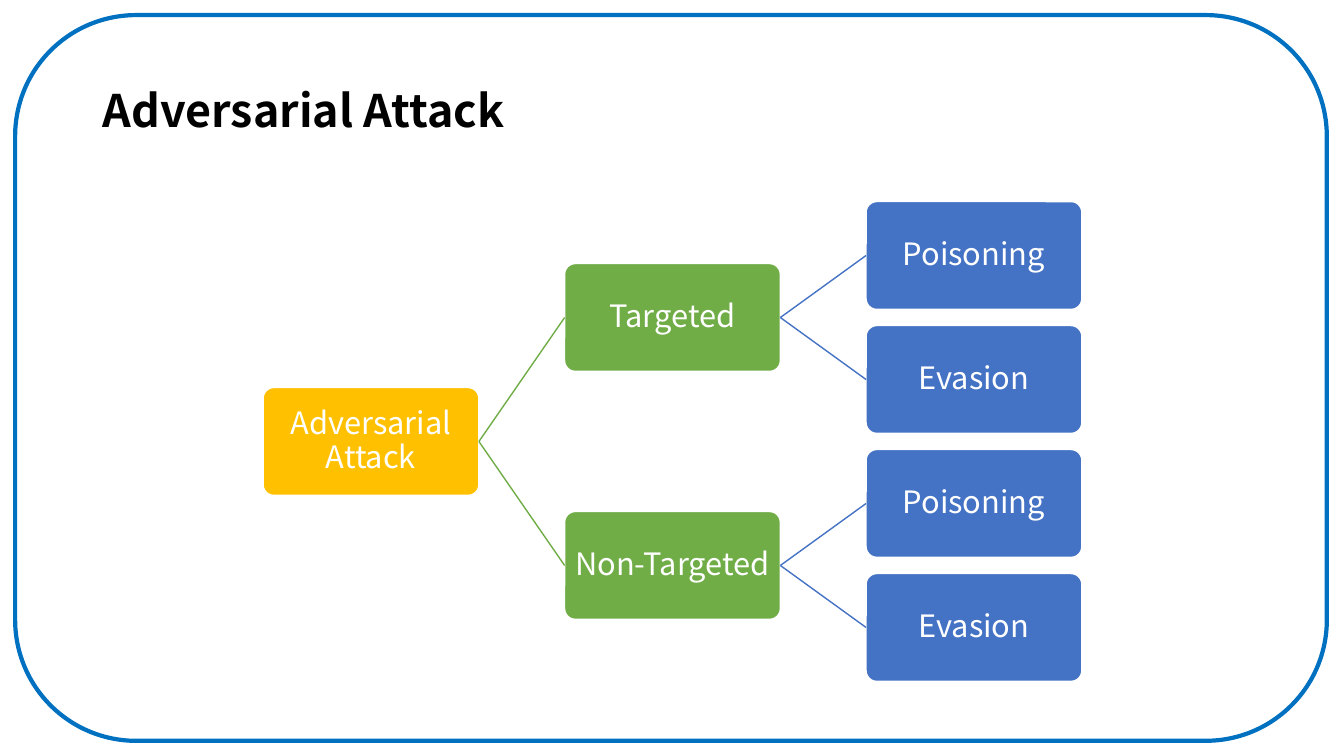
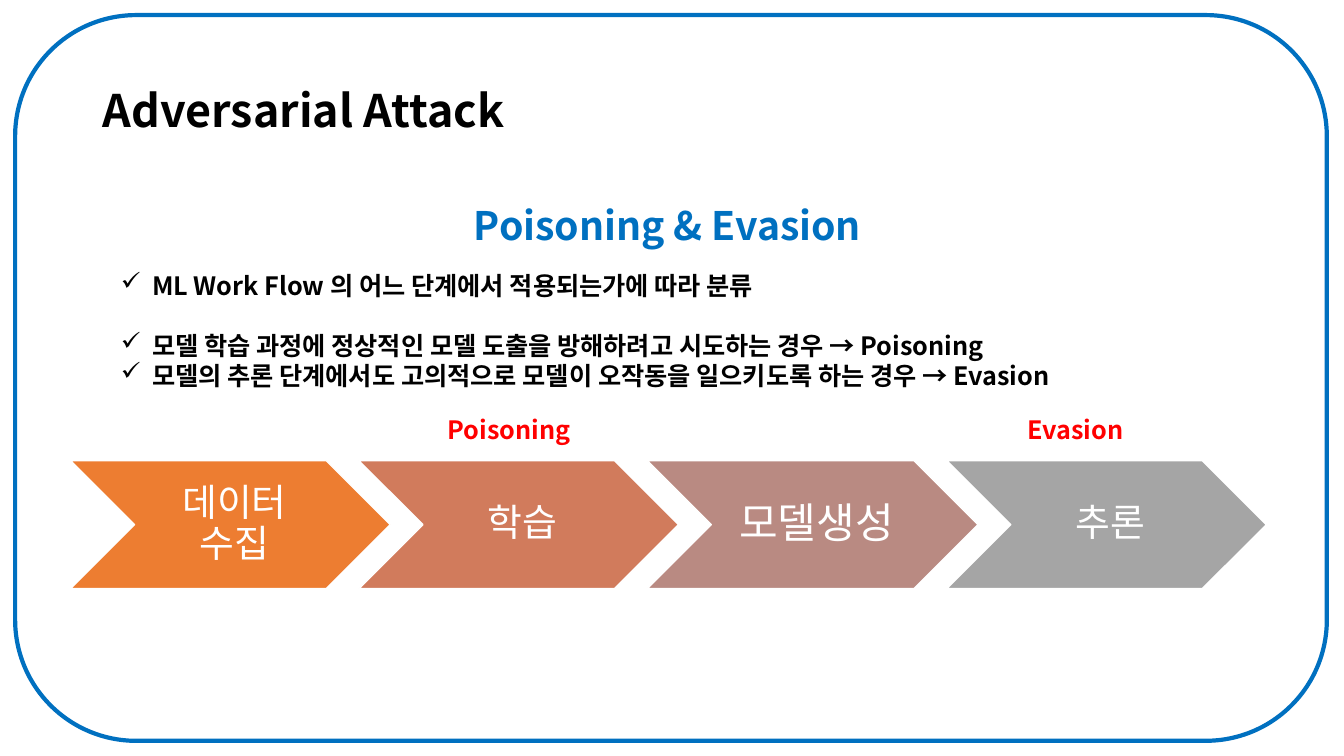
"""Builds two slides on adversarial attacks: a taxonomy tree and a workflow."""
from lxml import etree
from pptx import Presentation
from pptx.dml.color import RGBColor
from pptx.enum.shapes import MSO_CONNECTOR, MSO_SHAPE
from pptx.enum.text import MSO_ANCHOR, PP_ALIGN
from pptx.oxml.ns import qn
from pptx.util import Inches, Pt

ROUNDED = MSO_SHAPE.ROUNDED_RECTANGLE
CHEVRON = MSO_SHAPE.CHEVRON
STRAIGHT = MSO_CONNECTOR.STRAIGHT
LEFT, CENTER = PP_ALIGN.LEFT, PP_ALIGN.CENTER
TOP, MIDDLE = MSO_ANCHOR.TOP, MSO_ANCHOR.MIDDLE
RIGHT_SIDE, LEFT_SIDE = 3, 1

FONT = "Noto Sans CJK KR"
BLACK, WHITE, BLUE, RED = "000000", "FFFFFF", "0070C0", "FF0000"
LEVEL_COLORS = ("FFC000", "70AD47", "4472C4")
NODE_W, NODE_H = 2.14, 1.07
TREE_LEFT, TREE_TOP = 2.61, 2
LEVEL_STEP, LEAF_STEP = 2.99, 1.23
ATTACK_TREE = ("Adversarial Attack", [
    ("Targeted", [("Poisoning", []), ("Evasion", [])]),
    ("Non-Targeted", [("Poisoning", []), ("Evasion", [])]),
])

STAGES = (
    ("데이터 수집", "ED7D31", 3.17, 27),
    ("학습", "D17B5C", 3.17, 27),
    ("모델생성", "B98A82", 3.28, 30),
    ("추론", "A5A5A5", 3.17, 27),
)
STAGE_LEFT, STAGE_TOP, STAGE_H, STAGE_OVERLAP = 0.7, 4.57, 1.27, 0.31
CRITERIA = (
    ("ML Work Flow 의 어느 단계에서 적용되는가에 따라 분류", 21.5),
    ("모델 학습 과정에 정상적인 모델 도출을 방해하려고 시도하는 경우 → Poisoning", 0),
    ("모델의 추론 단계에서도 고의적으로 모델이 오작동을 일으키도록 하는 경우 → Evasion", 0),
)


def rgb(color):
    """Turn a hex string into a colour."""
    return RGBColor.from_string(color)


def style_paragraph(paragraph, size, color, bold=False, align=LEFT, spacing=None):
    """Set the font and the layout of one paragraph."""
    paragraph.alignment = align
    if spacing:
        paragraph.line_spacing = spacing
    font = paragraph.font
    font.size, font.bold, font.name = Pt(size), bold, FONT
    font.color.rgb = rgb(color)
    properties = paragraph._p.pPr.find(qn("a:defRPr"))
    etree.SubElement(properties, qn("a:ea"), typeface=FONT)


def add_check_mark(paragraph, indent):
    """Give a paragraph a hanging check mark."""
    properties = paragraph._p.get_or_add_pPr()
    properties.set("marL", str(Inches(indent)))
    properties.set("indent", str(Inches(-indent)))
    bullet = etree.Element(qn("a:buChar"), char="✓")
    properties.find(qn("a:defRPr")).addprevious(bullet)


def add_text(slide, box, text, size, color, align=LEFT, anchor=TOP, spacing=None):
    """Add one bold line of text."""
    frame = slide.shapes.add_textbox(*map(Inches, box)).text_frame
    frame.word_wrap = True
    frame.vertical_anchor = anchor
    frame.text = text
    style_paragraph(frame.paragraphs[0], size, color, True, align, spacing)


def add_shape(slide, kind, box, line, width, fill=None):
    """Add a preset shape with an outline and an optional fill."""
    shape = slide.shapes.add_shape(kind, *map(Inches, box))
    shape.shadow.inherit = False
    shape.line.color.rgb = rgb(line)
    shape.line.width = Pt(width)
    if fill:
        shape.fill.solid()
        shape.fill.fore_color.rgb = rgb(fill)
    else:
        shape.fill.background()
    return shape


def add_labelled_shape(slide, kind, box, fill, label, size, insets):
    """Add a filled shape with a centred white label."""
    shape = add_shape(slide, kind, box, WHITE, 1, fill)
    frame = shape.text_frame
    frame.word_wrap = True
    frame.vertical_anchor = MIDDLE
    (frame.margin_left, frame.margin_top,
     frame.margin_right, frame.margin_bottom) = map(Inches, insets)
    frame.text = label
    style_paragraph(frame.paragraphs[0], size, WHITE, align=CENTER, spacing=0.9)
    return shape


def add_branch(slide, parent, child, color):
    """Join a tree node to one of its children."""
    branch = slide.shapes.add_connector(STRAIGHT, 0, 0, 0, 0)
    branch.begin_connect(parent, RIGHT_SIDE)
    branch.end_connect(child, LEFT_SIDE)
    branch.line.color.rgb = rgb(color)
    branch.line.width = Pt(1)
    etree.SubElement(branch._element.spPr, qn("a:effectLst"))


def add_tree(slide, tree, level=0, first_leaf=0):
    """Draw a tree and return its root, its top and its number of leaves."""
    label, subtrees = tree
    children, tops, leaves = [], [], 0
    for subtree in subtrees:
        child, child_top, count = add_tree(slide, subtree, level + 1, first_leaf + leaves)
        children.append(child)
        tops.append(child_top)
        leaves += count
    top = sum(tops) / len(tops) if tops else TREE_TOP + LEAF_STEP * first_leaf
    box = (TREE_LEFT + LEVEL_STEP * level, top, NODE_W, NODE_H)
    node = add_labelled_shape(slide, ROUNDED, box, LEVEL_COLORS[level], label, 22, [0.02] * 4)
    node.adjustments[0] = 0.1
    for child in children:
        add_branch(slide, node, child, LEVEL_COLORS[level + 1])
    return node, top, max(leaves, 1)


def add_criteria(slide):
    """Add the checked list of criteria."""
    box = (1.1, 2.63, 11.13, 1.31)
    frame = slide.shapes.add_textbox(*map(Inches, box)).text_frame
    frame.word_wrap = True
    frame.text = "\n".join(text for text, _ in CRITERIA)
    for paragraph, (_, gap) in zip(frame.paragraphs, CRITERIA):
        style_paragraph(paragraph, 18, BLACK, True)
        paragraph.space_after = Pt(gap)
        add_check_mark(paragraph, 0.31)


def add_workflow(slide):
    """Add the row of workflow stages."""
    left = STAGE_LEFT
    for label, fill, width, size in STAGES:
        box = (left, STAGE_TOP, width, STAGE_H)
        add_labelled_shape(slide, CHEVRON, box, fill, label, size, (0.12, 0.04, 0.04, 0.04))
        left += width - STAGE_OVERLAP


def add_framed_slide(deck, title):
    """Add a slide with the shared frame and title."""
    slide = deck.slides.add_slide(deck.slide_layouts[6])
    add_shape(slide, ROUNDED, (0.15, 0.15, 13.01, 7.2), BLUE, 3)
    add_text(slide, (0.92, 0.4, 11.5, 1.45), title, 32, BLACK, anchor=MIDDLE, spacing=0.9)
    return slide


def main():
    """Build and save the deck."""
    deck = Presentation()
    deck.slide_width, deck.slide_height = Inches(13.33), Inches(7.5)

    taxonomy = add_framed_slide(deck, "Adversarial Attack")
    add_tree(taxonomy, ATTACK_TREE)

    phases = add_framed_slide(deck, "Adversarial Attack")
    add_text(phases, (0.87, 2, 11.5, 0.6), "Poisoning & Evasion", 28, BLUE, CENTER, spacing=0.9)
    add_criteria(phases)
    add_workflow(phases)
    for left, attack in ((4.34, "Poisoning"), (10.09, "Evasion")):
        add_text(phases, (left, 4.06, 1.68, 0.4), attack, 18, RED)

    deck.save("out.pptx")


if __name__ == "__main__":
    main()
